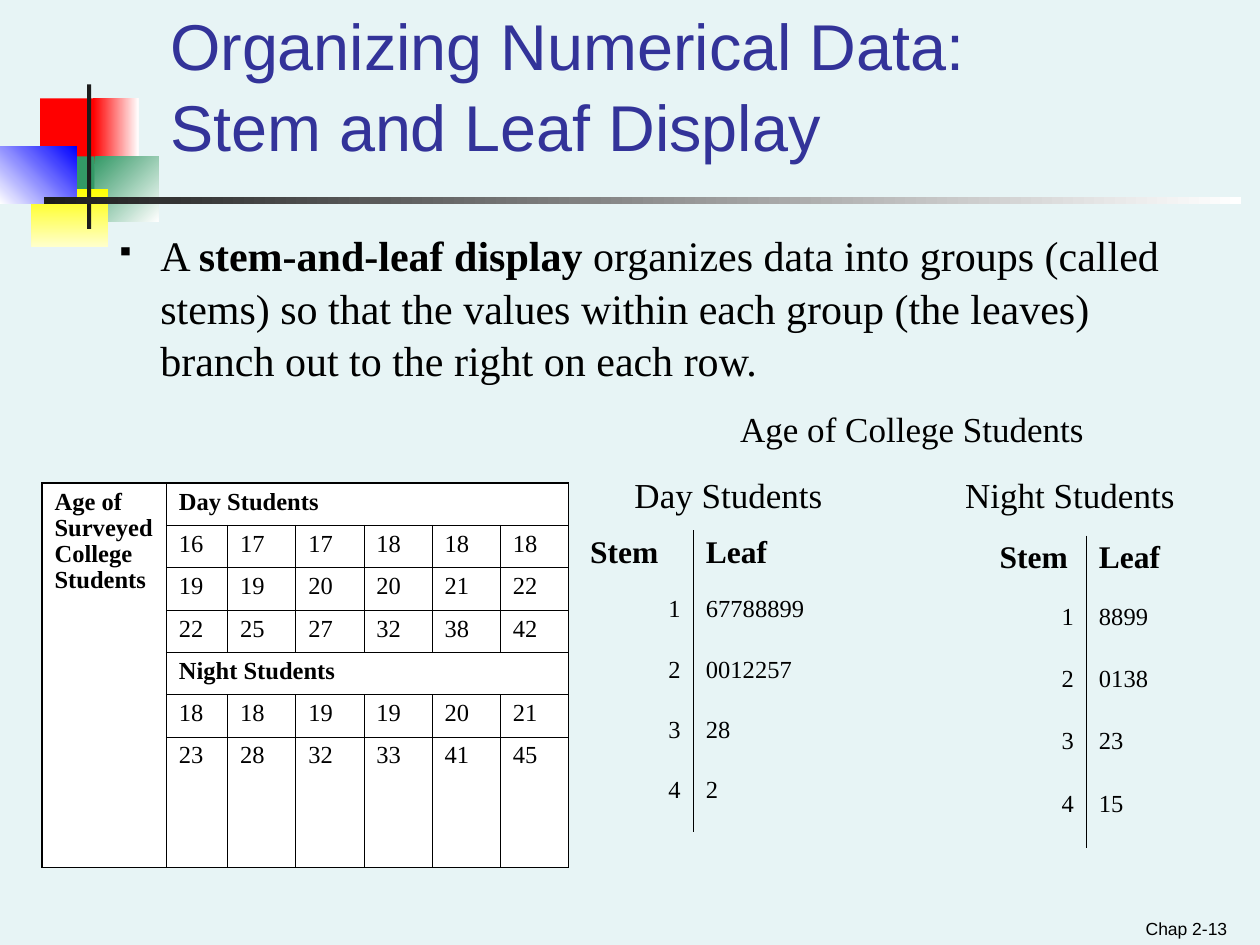
from dataclasses import dataclass
from typing import Optional

import pptx
import pptx.dml.color
import pptx.enum.shapes
import pptx.enum.text
import pptx.oxml
import pptx.oxml.ns
import pptx.util

Pt = pptx.util.Pt
RGB = pptx.dml.color.RGBColor
ALIGN = pptx.enum.text.PP_ALIGN
ANCHOR = pptx.enum.text.MSO_ANCHOR

BACKGROUND = RGB(0xE7, 0xF4, 0xF5)
BLACK = RGB(0, 0, 0)
WHITE = RGB(0xFF, 0xFF, 0xFF)
CHARCOAL = RGB(0x1C, 0x1C, 0x1C)
RED = RGB(0xFF, 0, 0)
GREEN = RGB(0x33, 0x99, 0x66)
YELLOW = RGB(0xFF, 0xFF, 0)
PALE_YELLOW = RGB(0xFF, 0xFF, 0xCC)
BLUE = RGB(0, 0, 0xFF)
TITLE_BLUE = RGB(0x33, 0x33, 0x99)
SANS, SERIF = "Arial", "Times New Roman"
THIN, THICK = 0.45, 1.08
NO_STYLE = "{2D5ABB26-0587-4C30-8999-92F81FD0307C}"


@dataclass
class Block:
    x: float
    y: float
    w: float
    h: float
    color: RGB
    fade: Optional[RGB] = None
    angle: int = 0


@dataclass
class StemLeaf:
    x: float
    y: float
    stem_w: float
    leaf_w: float
    row_h: float
    leaves: list[str]


BLOCKS = [
    Block(23, 56.2, 34.6, 37.4, RED),
    Block(53.3, 56.2, 25.9, 37.4, RED, WHITE),
    Block(54, 89.3, 36.7, 37.4, GREEN, WHITE, 315),
    Block(31, 89.3, 23, 37.4, GREEN),
    Block(18, 108, 44, 33.1, YELLOW, PALE_YELLOW, 270),
    Block(0, 83.5, 44, 33.1, WHITE, BLUE, 45),
    Block(49.8, 48.2, 2.3, 82.6, CHARCOAL),
    Block(25.2, 112.5, 684, 4, CHARCOAL, WHITE),
]
STEM_LEAFS = [
    StemLeaf(330, 303, 66.2, 95.8, 34.5, ["67788899", "0012257", "28", "2"]),
    StemLeaf(564, 306, 56.8, 81.4, 35.7, ["8899", "0138", "23", "15"]),
]
GROUPS = {
    "Day Students": [
        [16, 17, 17, 18, 18, 18],
        [19, 19, 20, 20, 21, 22],
        [22, 25, 27, 32, 38, 42],
    ],
    "Night Students": [[18, 18, 19, 19, 20, 21], [23, 28, 32, 33, 41, 45]],
}


def add_xml(parent, xml: str) -> None:
    ns = pptx.oxml.ns.nsdecls("a")
    parent.append(pptx.oxml.parse_xml(xml.replace(" ", f" {ns} ", 1)))


def add_block(s, b: Block) -> None:
    sp = s.shapes.add_shape(pptx.enum.shapes.MSO_SHAPE.RECTANGLE,
                            Pt(b.x), Pt(b.y), Pt(b.w), Pt(b.h))
    sp.shadow.inherit = False
    sp.line.fill.background()
    if b.fade is None:
        sp.fill.solid()
        sp.fill.fore_color.rgb = b.color
        return
    sp.fill.gradient()
    sp.fill.gradient_angle = b.angle
    for stop, color, position in zip(sp.fill.gradient_stops, (b.color, b.fade), (0, 1)):
        stop.color.rgb = color
        stop.position = position


def add_box(s, x: float, y: float, w: float, h: float, anchor=ANCHOR.TOP,
            inset: float = 6.6, bottom: float = 3.6):
    tf = s.shapes.add_textbox(Pt(x), Pt(y), Pt(w), Pt(h)).text_frame
    tf.word_wrap = True
    tf.vertical_anchor = anchor
    tf.margin_left = tf.margin_right = Pt(inset)
    tf.margin_top, tf.margin_bottom = Pt(3.6), Pt(bottom)
    return tf


def style(p, size: float, font: str = SERIF, color: RGB = BLACK,
          spacing: float = 1.05, bold: Optional[bool] = None) -> None:
    p.line_spacing = spacing
    p.font.size = Pt(size)
    p.font.name = font
    p.font.color.rgb = color
    p.font.bold = bold


def add_table(s, x: float, y: float, widths: list[float], heights: list[float]):
    table = s.shapes.add_table(len(heights), len(widths), Pt(x), Pt(y),
                               Pt(sum(widths)), Pt(sum(heights))).table
    table.first_row = table.horz_banding = False
    table._tbl.tblPr.find(pptx.oxml.ns.qn("a:tableStyleId")).text = NO_STYLE
    for column, width in zip(table.columns, widths):
        column.width = Pt(width)
    for row, height in zip(table.rows, heights):
        row.height = Pt(height)
    return table


def format_cell(cell, borders: dict[str, float], fill: Optional[RGB] = None) -> None:
    tc_pr = cell._tc.get_or_add_tcPr()
    for side in "LRTB":
        if side in borders:
            add_xml(tc_pr, f'<a:ln{side} w="{Pt(borders[side])}"><a:solidFill>'
                           f'<a:srgbClr val="{BLACK}"/></a:solidFill></a:ln{side}>')
    if fill is None:
        cell.fill.background()
    else:
        cell.fill.solid()
        cell.fill.fore_color.rgb = fill


def fill_text(cell, text: str, size: float = 14, bold: bool = False, align=ALIGN.LEFT) -> None:
    p = cell.text_frame.paragraphs[0]
    p.text = text
    p.alignment = align
    style(p, size, spacing=0.96, bold=bold)


def add_stem_leaf(s, d: StemLeaf) -> None:
    rows = [("Stem", "Leaf"), *((str(i), leaf) for i, leaf in enumerate(d.leaves, 1))]
    table = add_table(s, d.x, d.y, [d.stem_w, d.leaf_w], [d.row_h] * len(rows))
    for i, (stem, leaf) in enumerate(rows):
        size, bold, align = (14, False, ALIGN.RIGHT) if i else (18, True, ALIGN.LEFT)
        fill_text(table.cell(i, 0), stem, size, bold, align)
        fill_text(table.cell(i, 1), leaf, size, bold)
        format_cell(table.cell(i, 0), {"R": THIN})
        format_cell(table.cell(i, 1), {"L": THIN})


def add_ages(s) -> None:
    widths, heights = [71, 35] + [39] * 5, [24.2] * 6 + [74.6]
    last_row, last_col = len(heights) - 1, len(widths) - 1
    table = add_table(s, 24, 276, widths, heights)
    for i in range(len(heights)):
        for j in range(len(widths)):
            format_cell(table.cell(i, j), {
                "L": THICK if j == 0 else THIN,
                "R": THICK if j == last_col else THIN,
                "T": THICK if i == 0 else THIN,
                "B": THICK if i == last_row else THIN,
            }, WHITE)
    table.cell(0, 0).merge(table.cell(last_row, 0))
    fill_text(table.cell(0, 0), "Age of Surveyed College Students", bold=True)
    i = 0
    for heading, rows in GROUPS.items():
        table.cell(i, 1).merge(table.cell(i, last_col))
        fill_text(table.cell(i, 1), heading, bold=True)
        for i, ages in enumerate(rows, i + 1):
            for j, age in enumerate(ages, 1):
                fill_text(table.cell(i, j), str(age))
        i += 1


def add_texts(s) -> None:
    p = add_box(s, 540, 514.8, 167.8, 25.2, ANCHOR.BOTTOM).paragraphs[0]
    p.text = "Chap 2-13"
    p.alignment = ALIGN.RIGHT
    style(p, 10, SANS, spacing=1)

    p = add_box(s, 90.7, 18, 581, 77.8, ANCHOR.BOTTOM, bottom=1.6).paragraphs[0]
    p.text = "Organizing Numerical Data:\vStem and Leaf Display"
    style(p, 37, SANS, TITLE_BLUE)

    p = add_box(s, 59.8, 126, 635.8, 357).paragraphs[0]
    p_pr = p._p.get_or_add_pPr()
    p_pr.set("marL", str(Pt(25.2)))
    p_pr.set("indent", str(-Pt(25.2)))
    add_xml(p_pr, f'<a:buClr ><a:srgbClr val="{BLACK}"/></a:buClr>')
    add_xml(p_pr, '<a:buSzPct val="60000"/>')
    add_xml(p_pr, '<a:buChar char="▪"/>')
    style(p, 24)
    for text, bold in (("A ", False), ("stem-and-leaf display ", True),
                       ("organizes data into groups (called stems) so that the values within "
                        "each group (the leaves) branch out to the right on each row.", False)):
        r = p.add_run()
        r.text = text
        r.font.bold = bold

    tf = add_box(s, 264, 228.2, 432, 67.7, inset=7.2)
    p = tf.paragraphs[0]
    p.text = "Age of College Students"
    p.alignment = ALIGN.CENTER
    p._p.get_or_add_pPr().set("marL", str(Pt(82.4)))
    style(p, 20)
    p = tf.add_paragraph()
    p.text = "\tDay Students\tNight Students"
    p.space_before = Pt(12.5)
    tabs = "".join(f'<a:tab pos="{Pt(x)}" algn="l"/>' for x in (91.5, 280.5))
    add_xml(p._p.get_or_add_pPr(), f"<a:tabLst >{tabs}</a:tabLst>")
    style(p, 20)


def main() -> None:
    prs = pptx.Presentation()
    prs.slide_width, prs.slide_height = Pt(720), Pt(540)
    s = prs.slides.add_slide(prs.slide_layouts[6])
    s.background.fill.solid()
    s.background.fill.fore_color.rgb = BACKGROUND
    for block in BLOCKS:
        add_block(s, block)
    add_texts(s)
    for display in STEM_LEAFS:
        add_stem_leaf(s, display)
    add_ages(s)
    prs.save("out.pptx")


if __name__ == "__main__":
    main()
